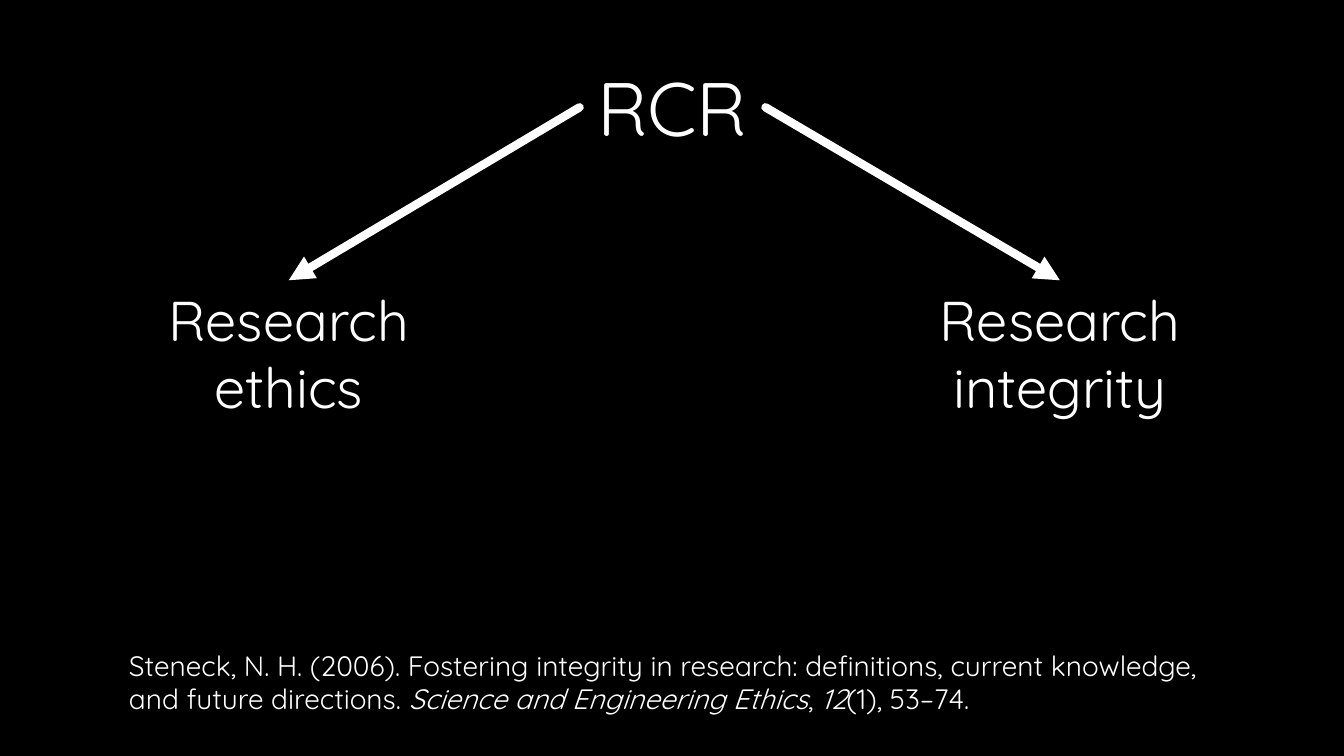
from lxml.etree import SubElement
from pptx import Presentation
from pptx.dml.color import RGBColor
from pptx.enum.shapes import MSO_CONNECTOR
from pptx.enum.text import MSO_AUTO_SIZE, PP_ALIGN
from pptx.oxml.ns import qn
from pptx.util import Pt

COLOURS = {"background": "000000", "foreground": "FFFFFF"}
FONT = "Quicksand"
TOP, LEFT, RIGHT = 0, 1, 3  # connection sites of a rectangle


def colour(name):
    return RGBColor.from_string(COLOURS[name])


def add_text(slide, box, runs, size, align=PP_ALIGN.LEFT):
    """Add one paragraph made of (text, italic) runs."""
    label = slide.shapes.add_textbox(*(Pt(length) for length in box))
    frame = label.text_frame
    frame.word_wrap = True
    frame.auto_size = MSO_AUTO_SIZE.SHAPE_TO_FIT_TEXT
    paragraph = frame.paragraphs[0]
    paragraph.alignment = align
    paragraph.font.name = FONT
    paragraph.font.size = Pt(size)
    paragraph.font.color.rgb = colour("foreground")
    for text, italic in runs:
        run = paragraph.add_run()
        run.text = text
        if italic:
            run.font.italic = True
    return label


def add_arrow(slide, source, source_site, target):
    """Join a side of the source to the top of the target."""
    arrow = slide.shapes.add_connector(MSO_CONNECTOR.STRAIGHT, 0, 0, 0, 0)
    arrow.begin_connect(source, source_site)
    arrow.end_connect(target, TOP)
    arrow.line.color.rgb = colour("foreground")
    arrow.line.width = Pt(6)
    # Round cap, arrowhead, no shadow
    line = arrow.line._get_or_add_ln()
    line.set("cap", "rnd")
    SubElement(line, qn("a:tailEnd"), type="triangle")
    SubElement(arrow._element.spPr, qn("a:effectLst"))


def main():
    presentation = Presentation()
    presentation.slide_width, presentation.slide_height = Pt(960), Pt(540)
    slide = presentation.slides.add_slide(presentation.slide_layouts[6])
    slide.background.fill.solid()
    slide.background.fill.fore_color.rgb = colour("background")

    # Concept and its two branches
    rcr = add_text(slide, (414, 40.3, 132.8, 72.7), [("RCR", False)],
                   54, PP_ALIGN.CENTER)
    branches = [("Research ethics", 58.3, LEFT),
                ("Research integrity", 609.1, RIGHT)]
    for text, left, site in branches:
        branch = add_text(slide, (left, 200.2, 295.9, 104.4),
                          [(text, False)], 40, PP_ALIGN.CENTER)
        add_arrow(slide, rcr, site, branch)

    # Reference
    add_text(slide, (85, 459.4, 783.4, 55.4), [
        ("Steneck, N. H. (2006). Fostering integrity in research: definitions, "
         "current knowledge, and future directions. ", False),
        ("Science and Engineering Ethics", True),
        (", ", False),
        ("12", True),
        ("(1), 53–74.", False),
    ], 20)

    presentation.save("out.pptx")


if __name__ == "__main__":
    main()
